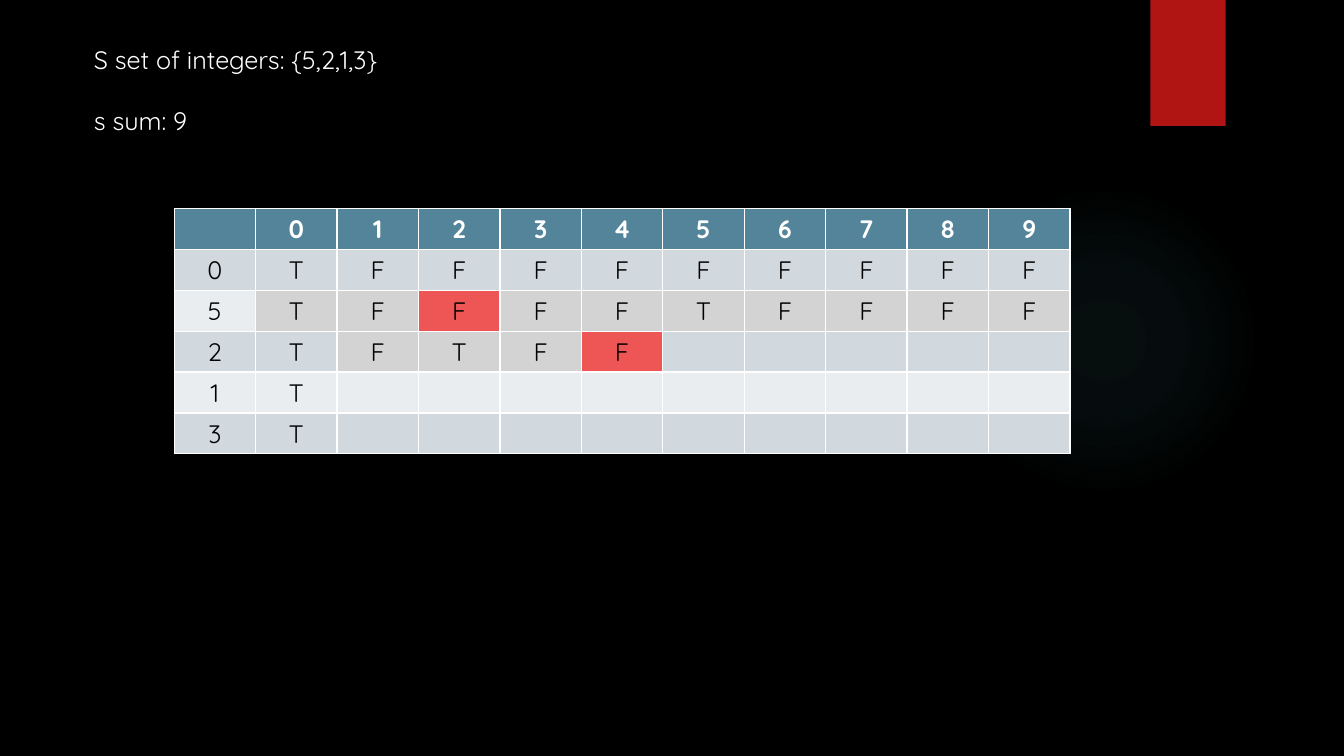
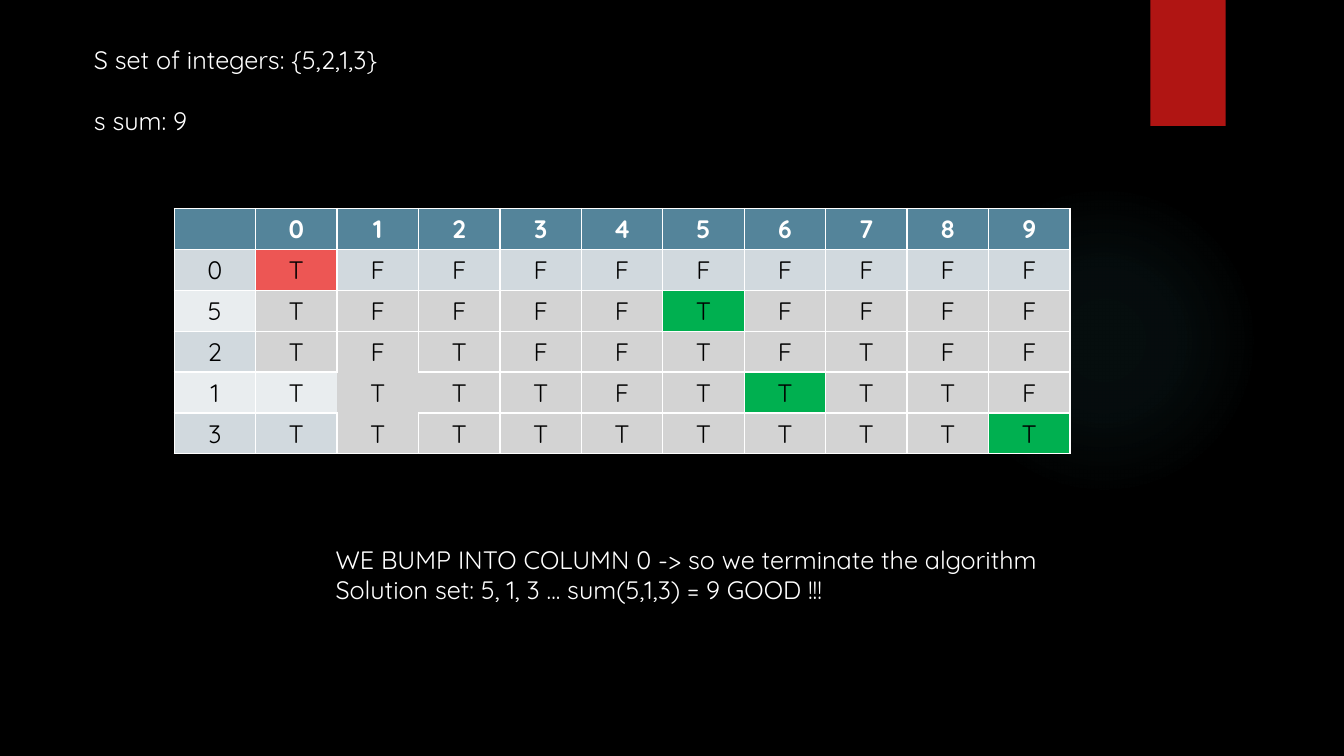
from dataclasses import dataclass

from lxml.etree import SubElement
from pptx import Presentation
from pptx.dml.color import RGBColor
from pptx.enum.shapes import MSO_SHAPE
from pptx.enum.text import PP_ALIGN
from pptx.oxml.ns import qn
from pptx.util import Pt

OVAL = MSO_SHAPE.OVAL
RECT = MSO_SHAPE.RECTANGLE
MID = PP_ALIGN.CENTER


@dataclass(frozen=True)
class Theme:
    back: str = "000000"
    ink: str = "000000"
    light: str = "FFFFFF"
    glow: str = "50B9C1"
    band: str = "B01513"
    head: str = "54849A"
    odd: str = "D1D9DE"
    even: str = "E9EDEF"
    seen: str = "D3D3D3"
    path_red: str = "ED5654"
    pick: str = "00B050"
    font: str = "Quicksand"
    size: int = 18
    edge: float = 1


def rgb(code):
    return RGBColor.from_string(code)


def add_xml(parent, tag, **attrs):
    return SubElement(parent, qn(tag), attrs)


class Deck:
    def __init__(self, theme):
        self.theme = theme
        self.prs = Presentation()
        self.prs.slide_width, self.prs.slide_height = Pt(960), Pt(540)
        fill = self.prs.slide_master.background.fill
        fill.solid()
        fill.fore_color.rgb = rgb(theme.back)
        self.slide = None

    def start(self):
        """Add a slide with the shared glow and band."""
        self.slide = self.prs.slides.add_slide(self.prs.slide_layouts[6])
        self.glow(677.5, 131.8, 221.8)
        self.block(RECT, 821.8, 0, 53.8, 90, self.theme.band)

    def block(self, kind, x, y, w, h, color):
        shape = self.slide.shapes.add_shape(kind, Pt(x), Pt(y), Pt(w), Pt(h))
        shape.shadow.inherit = False
        shape.fill.solid()
        shape.fill.fore_color.rgb = rgb(color)
        shape.line.fill.background()
        return shape

    def glow(self, x, y, size):
        """Draw a disc that fades out from its centre."""
        color = self.theme.glow
        disc = self.block(OVAL, x, y, size, size, color)
        disc.fill.gradient()
        grad = disc._element.spPr.find(qn("a:gradFill"))
        grad.clear()
        stops = add_xml(grad, "a:gsLst")
        for place, alpha in ((0, 7), (36, 6), (69, 0)):
            stop = add_xml(stops, "a:gs", pos=str(place * 1000))
            tint = add_xml(stop, "a:srgbClr", val=color)
            add_xml(tint, "a:alpha", val=str(alpha * 1000))
        focus = add_xml(grad, "a:path", path="circle")
        add_xml(focus, "a:fillToRect", l="50000", t="50000", r="50000", b="50000")

    def run(self, para, text, color, bold=False):
        run = para.add_run()
        run.text = text
        font = run.font
        font.name, font.size, font.bold = self.theme.font, Pt(self.theme.size), bold
        font.color.rgb = rgb(color)

    def text(self, x, y, w, h, lines, gap=0):
        box = self.slide.shapes.add_textbox(Pt(x), Pt(y), Pt(w), Pt(h))
        frame = box.text_frame
        frame.word_wrap = True
        for i, line in enumerate(lines):
            para = frame.add_paragraph() if i else frame.paragraphs[0]
            para.space_before = Pt(gap if i else 0)
            self.run(para, line, self.theme.light)

    def edges(self, cell, row, col, bare):
        """Rule the cell's sides, except those that touch the bare cell."""
        props = cell._tc.get_or_add_tcPr()
        sides = {"L": (row, col - 1), "R": (row, col + 1),
                 "T": (row - 1, col), "B": (row + 1, col)}
        for side, near in sides.items():
            line = add_xml(props, f"a:ln{side}", w=str(Pt(self.theme.edge)))
            if bare in ((row, col), near):
                add_xml(line, "a:noFill")
            else:
                fill = add_xml(line, "a:solidFill")
                add_xml(fill, "a:srgbClr", val=self.theme.light)

    def table(self, x, y, wide, high, rows, marks, bare=None):
        """Draw the grid; marks holds one letter per body cell."""
        theme = self.theme
        tones = {"s": theme.seen, "r": theme.path_red, "g": theme.pick}
        count, width = len(rows), len(rows[0])
        frame = self.slide.shapes.add_table(
            count, width, Pt(x), Pt(y), Pt(wide * width), Pt(high * count))
        grid = frame.table
        grid.horz_banding = False
        for col in grid.columns:
            col.width = Pt(wide)
        for r, row in enumerate(rows):
            grid.rows[r].height = Pt(high)
            base = theme.odd if r % 2 else theme.even
            for c, text in enumerate(row):
                cell = grid.cell(r, c)
                self.edges(cell, r, c, bare)
                cell.fill.solid()
                tone = tones.get(marks[r - 1][c], base) if r else theme.head
                cell.fill.fore_color.rgb = rgb(tone)
                para = cell.text_frame.paragraphs[0]
                para.alignment = MID
                if text != " ":
                    self.run(para, text, theme.ink if r else theme.light, not r)

    def step(self, body, marks, bare=None):
        """Add one step of the subset-sum search."""
        self.start()
        self.text(60, 28, 230, 73, ["S set of integers: {5,2,1,3}", "s sum: 9"], 22)
        rows = [line.ljust(11) for line in [" 0123456789", *body]]
        self.table(124.4, 149, 58.18, 29.2, rows, marks, bare)


def main():
    deck = Deck(Theme())
    deck.step(
        ["0TFFFFFFFFF", "5TFFFFTFFFF", "2TFTFF", "1T", "3T"],
        ["...........", ".ssrsssssss", "..sssr.....", "...........", "..........."])
    deck.step(
        ["0TFFFFFFFFF", "5TFFFFTFFFF", "2TFTFFTFTFF", "1TTTTFTTTTF".replace("TTTTF", "TTTTF"), "3TTTTTTTTTT"],
        [".r.........", ".sssssgssss", ".ssssssssss", "..sssssgsss", "..ssssssssg"],
        bare=(4, 2))
    deck.text(232.6, 385, 536, 73, [
        "WE BUMP INTO COLUMN 0 -> so we terminate the algorithm",
        "Solution set: 5, 1, 3 ... sum(5,1,3) = 9 GOOD !!!"])
    deck.prs.save("out.pptx")


if __name__ == "__main__":
    main()
